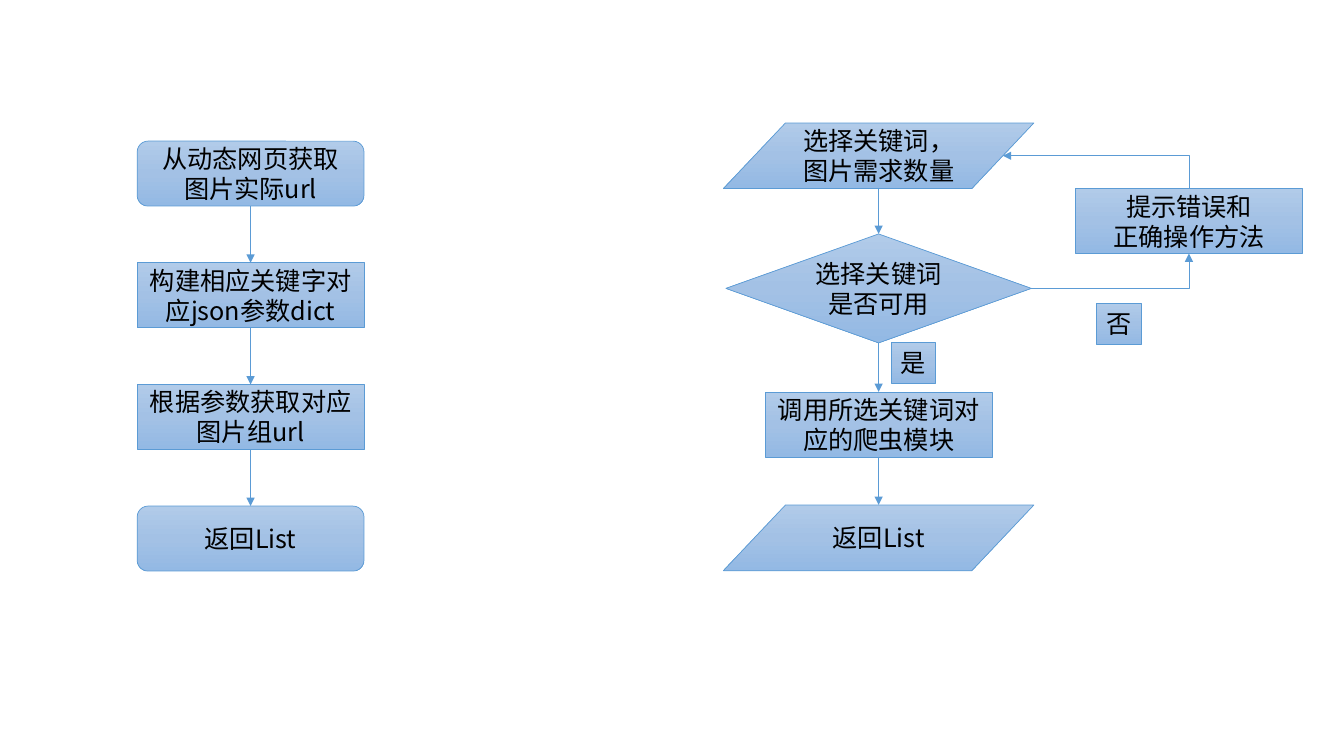
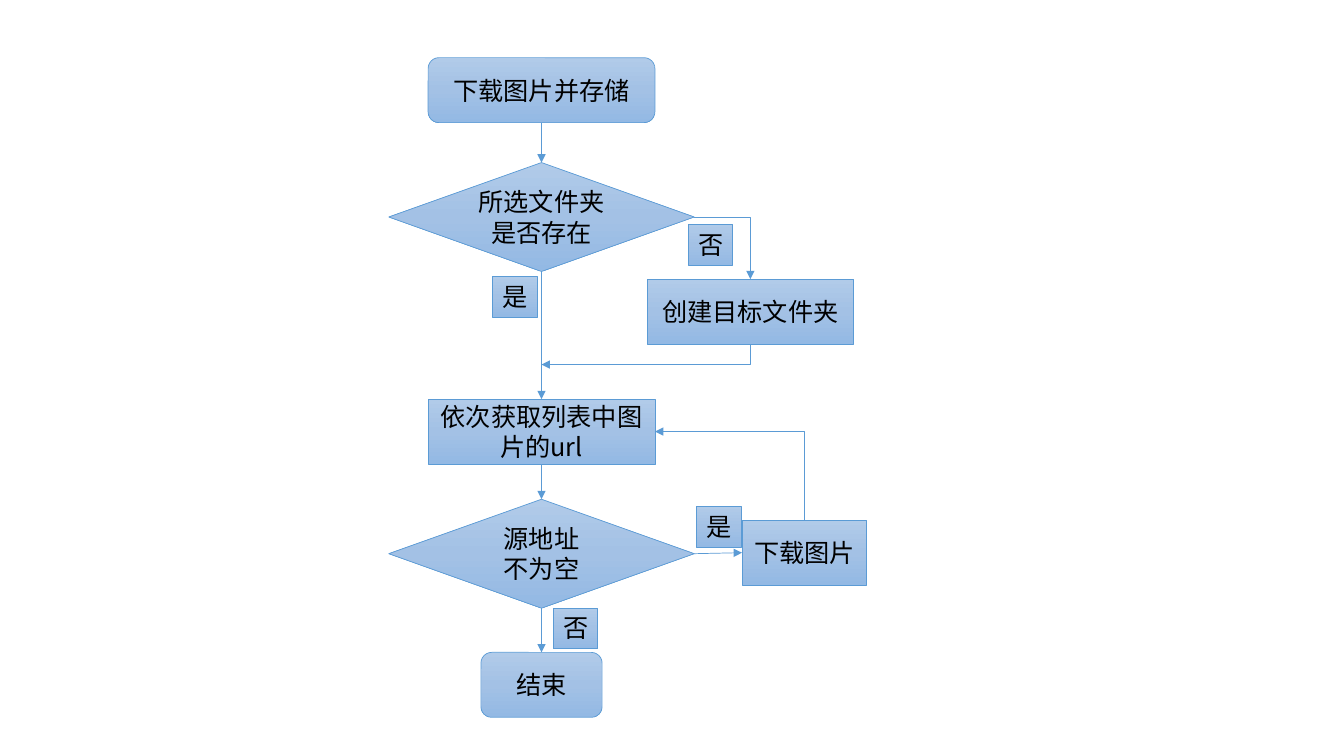
import dataclasses

import pptx
import pptx.dml.color
import pptx.enum.shapes
import pptx.enum.text
import pptx.oxml.ns
import pptx.util
from lxml import etree

Pt = pptx.util.Pt
qn = pptx.oxml.ns.qn
RGB = pptx.dml.color.RGBColor.from_string
MSO = pptx.enum.shapes.MSO_SHAPE
CXN = pptx.enum.shapes.MSO_CONNECTOR
ANCHOR = pptx.enum.text.MSO_ANCHOR
ALIGN = pptx.enum.text.PP_ALIGN
TOP, LEFT, BOTTOM, RIGHT = range(4)


@dataclasses.dataclass(frozen=True)
class Theme:
    font: str = "Noto Sans CJK SC"
    size: float = 18
    leading: float = 21.5
    ink: str = "000000"
    line: str = "5B9BD5"
    weight: float = 0.5
    gradient: tuple = ((0, "B1CBE9"), (50, "A3C1E5"), (100, "93B9E4"))


KINDS = {
    "terminal": (MSO.ROUNDED_RECTANGLE, 162, 46.4),
    "step": (MSO.RECTANGLE, 162, 46.4),
    "decision": (MSO.DIAMOND, 218.2, 77.8),
    "data": (MSO.FLOWCHART_DATA, 221.8, 46.9),
    "label": (MSO.RECTANGLE, 31.8, 29.1),
}


def write(sp, text, theme, align=ALIGN.CENTER, anchor=ANCHOR.MIDDLE, wrap=True):
    """Fill a shape with text, one paragraph per line."""
    tf = sp.text_frame
    tf.word_wrap, tf.vertical_anchor = wrap, anchor
    for i, line in enumerate(text.split("\n")):
        p = tf.add_paragraph() if i else tf.paragraphs[0]
        p.alignment, p.line_spacing = align, Pt(theme.leading)
        r = p.add_run()
        r.text = line
        r.font.name, r.font.size = theme.font, Pt(theme.size)
        r.font.color.rgb = RGB(theme.ink)
        etree.SubElement(r.font._element, qn("a:ea"), typeface=theme.font)


def site(sp, side):
    """Return the point where an arrow meets a side of a shape."""
    x, y = sp.left + sp.width // 2, sp.top + sp.height // 2
    slant = sp.width // 10 if sp.auto_shape_type == MSO.FLOWCHART_DATA else 0
    return {
        TOP: (x, sp.top),
        LEFT: (sp.left + slant, y),
        BOTTOM: (x, sp.top + sp.height),
        RIGHT: (sp.left + sp.width - slant, y),
    }[side]


class Flow:
    """Draws flowchart elements on the current slide."""

    def __init__(self, prs, theme):
        """Keep the presentation and its style."""
        self.prs, self.theme = prs, theme

    def slide(self):
        """Start a new blank slide."""
        self.s = self.prs.slides.add_slide(self.prs.slide_layouts[6])

    def node(self, kind, text, cx, y, width=None, **fmt):
        """Add a flowchart box centred on cx with its top at y."""
        shape, w, h = KINDS[kind]
        w = width or w
        sp = self.s.shapes.add_shape(shape, Pt(cx - w / 2), Pt(y), Pt(w), Pt(h))
        sp.shadow.inherit = False
        sp.line.color.rgb, sp.line.width = RGB(self.theme.line), Pt(self.theme.weight)
        sp.fill.gradient()
        sp.fill.gradient_angle = 270
        stops = sp._element.spPr.find(".//" + qn("a:gsLst"))
        for old in list(stops):
            stops.remove(old)
        for pos, color in self.theme.gradient:
            gs = etree.SubElement(stops, qn("a:gs"), pos=str(pos * 1000))
            etree.SubElement(gs, qn("a:srgbClr"), val=color)
        write(sp, text, self.theme, **fmt)
        return sp

    def label(self, text, cx, y):
        """Add a small branch label."""
        return self.node("label", text, cx, y, align=ALIGN.LEFT, anchor=ANCHOR.TOP, wrap=False)

    def connector(self, kind, start, end, a, a_side, b=None, b_side=None):
        """Add a styled arrow and join it to the shapes it touches."""
        c = self.s.shapes.add_connector(kind, *start, *end)
        c.line.color.rgb, c.line.width = RGB(self.theme.line), Pt(self.theme.weight)
        etree.SubElement(c.line._get_or_add_ln(), qn("a:tailEnd"), type="triangle")
        etree.SubElement(c._element.spPr, qn("a:effectLst"))
        for sp, side, join in ((a, a_side, c.begin_connect), (b, b_side, c.end_connect)):
            if sp is not None and sp.auto_shape_type != MSO.FLOWCHART_DATA:
                join(sp, side)
        return c

    def arrow(self, a, b, a_side=BOTTOM, b_side=TOP):
        """Add a straight arrow between two shapes."""
        self.connector(CXN.STRAIGHT, site(a, a_side), site(b, b_side), a, a_side, b, b_side)

    def elbow(self, a, a_side, b=None, b_side=None, point=None):
        """Add an arrow with one right-angled bend, to a shape or a point."""
        (x1, y1), (x2, y2) = site(a, a_side), point or site(b, b_side)
        c = self.connector(CXN.ELBOW, (x1, y1), (x2, y2), a, a_side, b, b_side)
        c._element.spPr.find(qn("a:prstGeom")).set("prst", "bentConnector2")
        if a_side in (TOP, BOTTOM):
            run = abs(y2 - y1)
            turn = x2 - x1 if a_side == TOP else x1 - x2
            mx, my = (x1 + x2) // 2, (y1 + y2) // 2
            c.begin_x, c.begin_y = mx - run // 2, my - turn // 2
            c.end_x, c.end_y = mx + run // 2, my + turn // 2
            c.rotation = 270 if a_side == TOP else 90


def crawler_slide(flow):
    """Build the crawler module and the keyword selection flows."""
    flow.slide()
    column = (
        ("terminal", "从动态网页获取图片实际url"),
        ("step", "构建相应关键字对应json参数dict"),
        ("step", "根据参数获取对应图片组url"),
        ("terminal", "返回List"),
    )
    steps = [flow.node(kind, text, 179, 100.8 + 86.9 * i) for i, (kind, text) in enumerate(column)]

    cx = 627.6
    choose = flow.node("data", "选择关键词，图片需求数量", cx, 87.8)
    usable = flow.node("decision", "选择关键词是否可用", cx, 167.1)
    call = flow.node("step", "调用所选关键词对应的爬虫模块", cx, 280)
    result = flow.node("data", "返回List", cx, 360.7)
    hint = flow.node("step", "提示错误和\n正确操作方法", 849.3, 134.7)
    for chain in (steps, (choose, usable, call, result)):
        for a, b in zip(chain, chain[1:]):
            flow.arrow(a, b)
    flow.elbow(usable, RIGHT, hint, BOTTOM)
    flow.elbow(hint, TOP, choose, RIGHT)
    flow.label("否", 799.3, 216.8)
    flow.label("是", 652.4, 244.8)


def download_slide(flow):
    """Build the download and storage flow."""
    flow.slide()
    cx = 386.8
    start = flow.node("terminal", "下载图片并存储", cx, 41.2)
    exists = flow.node("decision", "所选文件夹是否存在", cx, 116.1)
    fetch = flow.node("step", "依次获取列表中图片的url", cx, 285.1)
    valid = flow.node("decision", "源地址\n不为空", cx, 356.6)
    finish = flow.node("terminal", "结束", cx, 466, width=86.6)
    create = flow.node("step", "创建目标文件夹", 536, 199.4, width=147.8)
    download = flow.node("step", "下载图片", 574.6, 371.6, width=89.2)
    chain = (start, exists, fetch, valid, finish)
    for a, b in zip(chain, chain[1:]):
        flow.arrow(a, b)
    flow.arrow(valid, download, RIGHT, LEFT)
    flow.elbow(exists, RIGHT, create, TOP)
    flow.elbow(create, BOTTOM, point=(Pt(cx), Pt(260.4)))
    flow.elbow(download, TOP, fetch, RIGHT)
    for text, x, y in (("是", 513.4, 361.8), ("否", 411.2, 434.2),
                       ("否", 507.6, 160.3), ("是", 367.8, 197.3)):
        flow.label(text, x, y)


def main():
    """Build and save the presentation."""
    prs = pptx.Presentation()
    prs.slide_width, prs.slide_height = Pt(960), Pt(540)
    flow = Flow(prs, Theme())
    crawler_slide(flow)
    download_slide(flow)
    prs.save("out.pptx")


if __name__ == "__main__":
    main()
